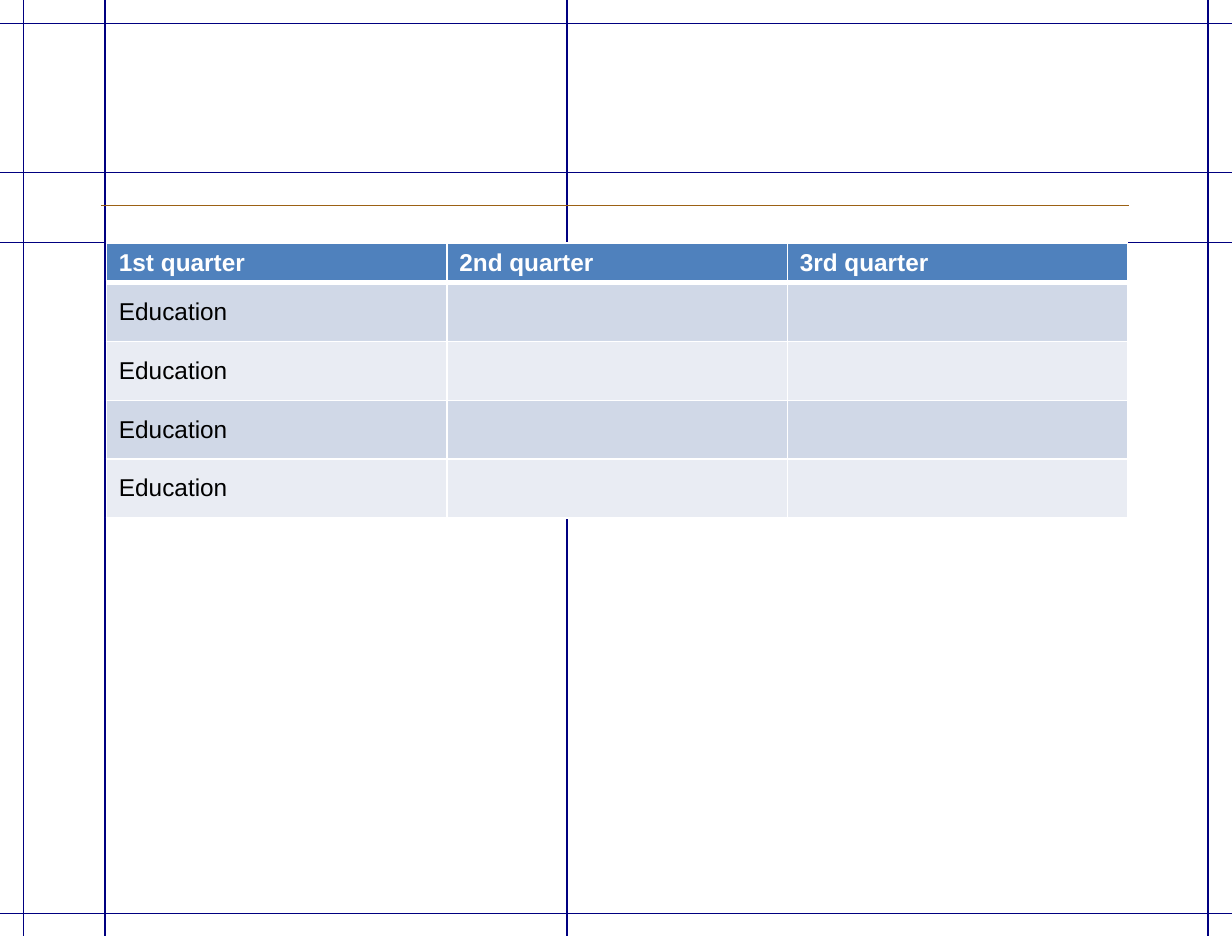
"""Build the quarterly education table slide with its guide lines."""
from lxml.etree import SubElement
from pptx import Presentation
from pptx.dml.color import RGBColor
from pptx.enum.shapes import MSO_CONNECTOR as Connector
from pptx.enum.text import MSO_ANCHOR as Anchor
from pptx.oxml.ns import qn
from pptx.util import Inches, Pt

NAVY = RGBColor(0x00, 0x00, 0x80)
BROWN = RGBColor(0x9C, 0x61, 0x14)
BLUE = RGBColor(0x4F, 0x81, 0xBD)
BAND_DARK = RGBColor(0xD0, 0xD8, 0xE7)
BAND_LIGHT = RGBColor(0xE9, 0xEC, 0xF3)
WHITE = RGBColor(0xFF, 0xFF, 0xFF)
BLACK = RGBColor(0x00, 0x00, 0x00)

CM_PER_INCH = 2.54
COLUMN_WIDTH = 2.72
HEADER_HEIGHT, ROW_HEIGHT = 0.32, 0.47
THIN, THICK = 0.96, 3
ROWS = [["1st quarter", "2nd quarter", "3rd quarter"]] + [["Education", "", ""]] * 4

deck = Presentation()
deck.slide_width = Inches(25 / CM_PER_INCH)
deck.slide_height = Inches(19 / CM_PER_INCH)
slide = deck.slides.add_slide(deck.slide_layouts[6])


def add_rule(x1, y1, x2, y2, color):
    rule = slide.shapes.add_connector(
        Connector.STRAIGHT, Inches(x1), Inches(y1), Inches(x2), Inches(y2))
    rule.line.color.rgb = color
    rule.line.width = Pt(0.75)
    SubElement(rule._element.spPr, qn("a:effectLst"))


def add_border(cell, side, points):
    border = SubElement(cell._tc.get_or_add_tcPr(), qn(f"a:ln{side}"), w=str(Pt(points)))
    SubElement(SubElement(border, qn("a:solidFill")), qn("a:srgbClr"), val=str(WHITE))


for y in (1.94, 0.19, 1.38, 7.3):
    add_rule(-0.13, y, 9.96, y, NAVY)
for x in (0.19, 9.65, 4.53, 0.84):
    add_rule(x, -0.07, x, 7.57, NAVY)
add_rule(0.81, 1.64, 9.02, 1.64, BROWN)

quarters = slide.shapes.add_table(
    len(ROWS), len(ROWS[0]), Inches(0.85), Inches(1.94), Inches(COLUMN_WIDTH * 3),
    Inches(HEADER_HEIGHT + ROW_HEIGHT * 4)).table
for column in quarters.columns:
    column.width = Inches(COLUMN_WIDTH)

for row_index, labels in enumerate(ROWS):
    is_header = row_index == 0
    quarters.rows[row_index].height = Inches(HEADER_HEIGHT if is_header else ROW_HEIGHT)
    band = BLUE if is_header else (BAND_LIGHT, BAND_DARK)[row_index % 2]
    label_format = {"name": "Arial", "size": Pt(14), "bold": is_header}
    for column_index, label in enumerate(labels):
        cell = quarters.cell(row_index, column_index)
        cell.text = label
        cell.vertical_anchor = Anchor.MIDDLE
        for side in "LRTB":
            under_header = (row_index, side) in ((0, "B"), (1, "T"))
            add_border(cell, side, THICK if under_header else THIN)
        cell.fill.solid()
        cell.fill.fore_color.rgb = band
        for run in cell.text_frame.paragraphs[0].runs:
            for key, value in label_format.items():
                setattr(run.font, key, value)
            run.font.color.rgb = WHITE if is_header else BLACK

deck.save("out.pptx")
